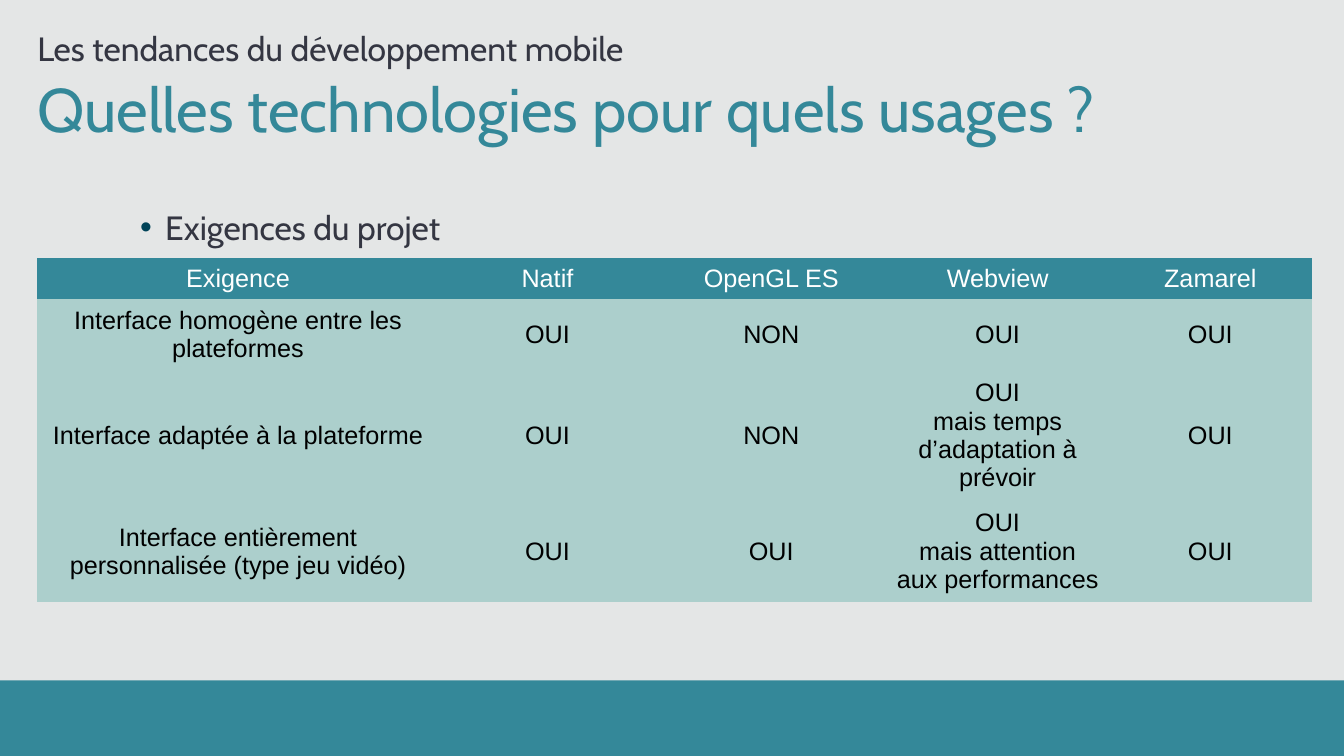
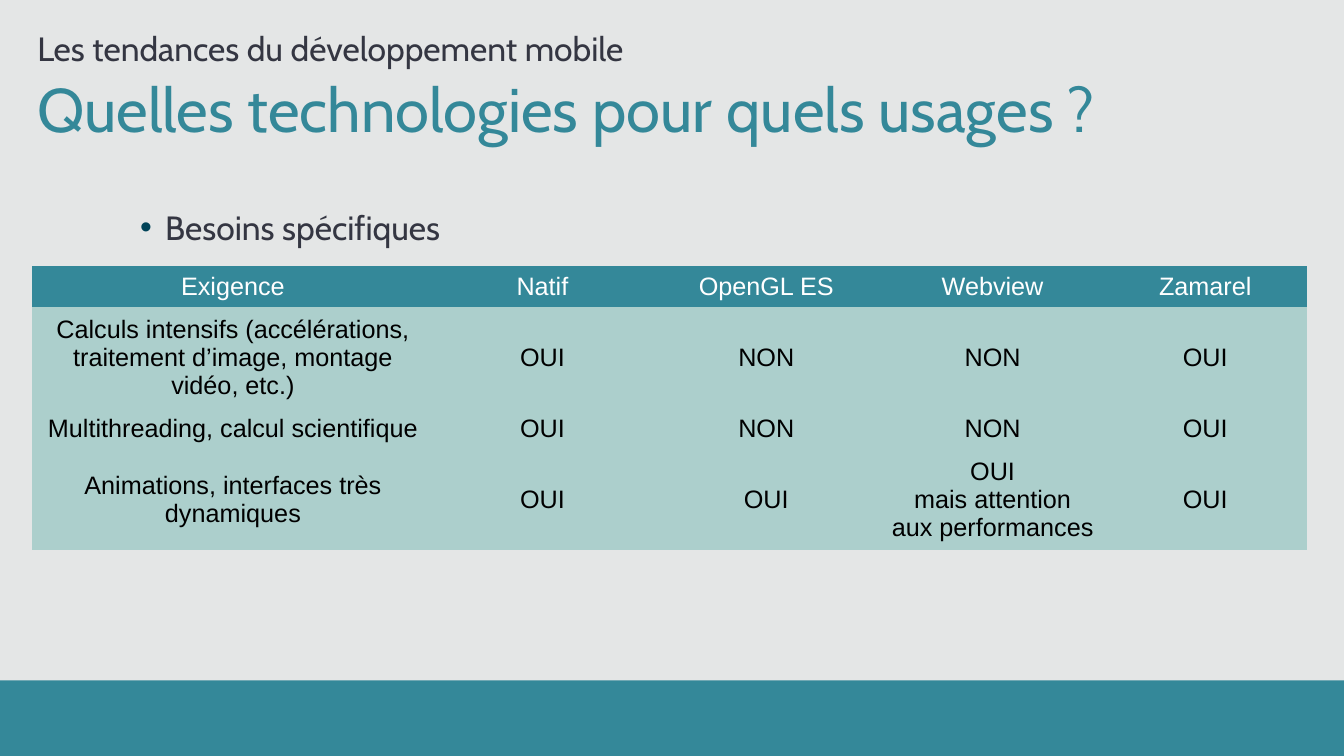
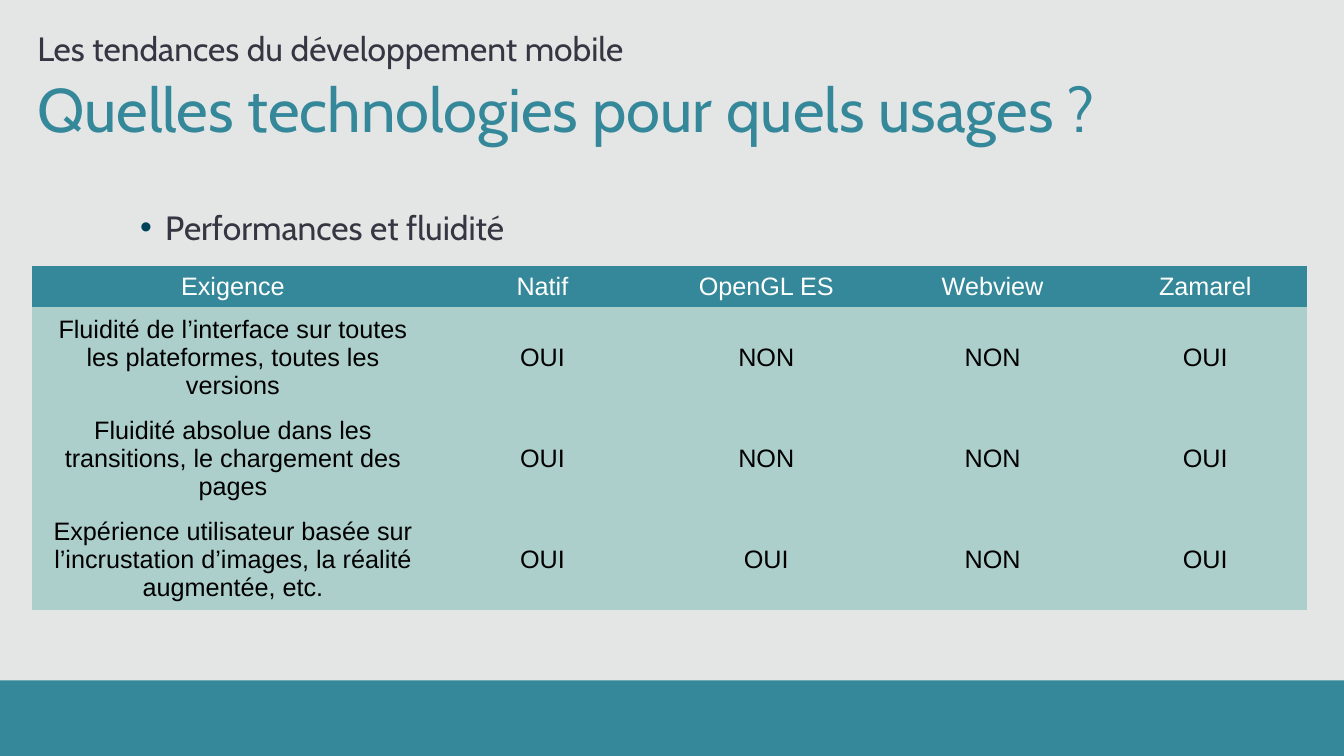
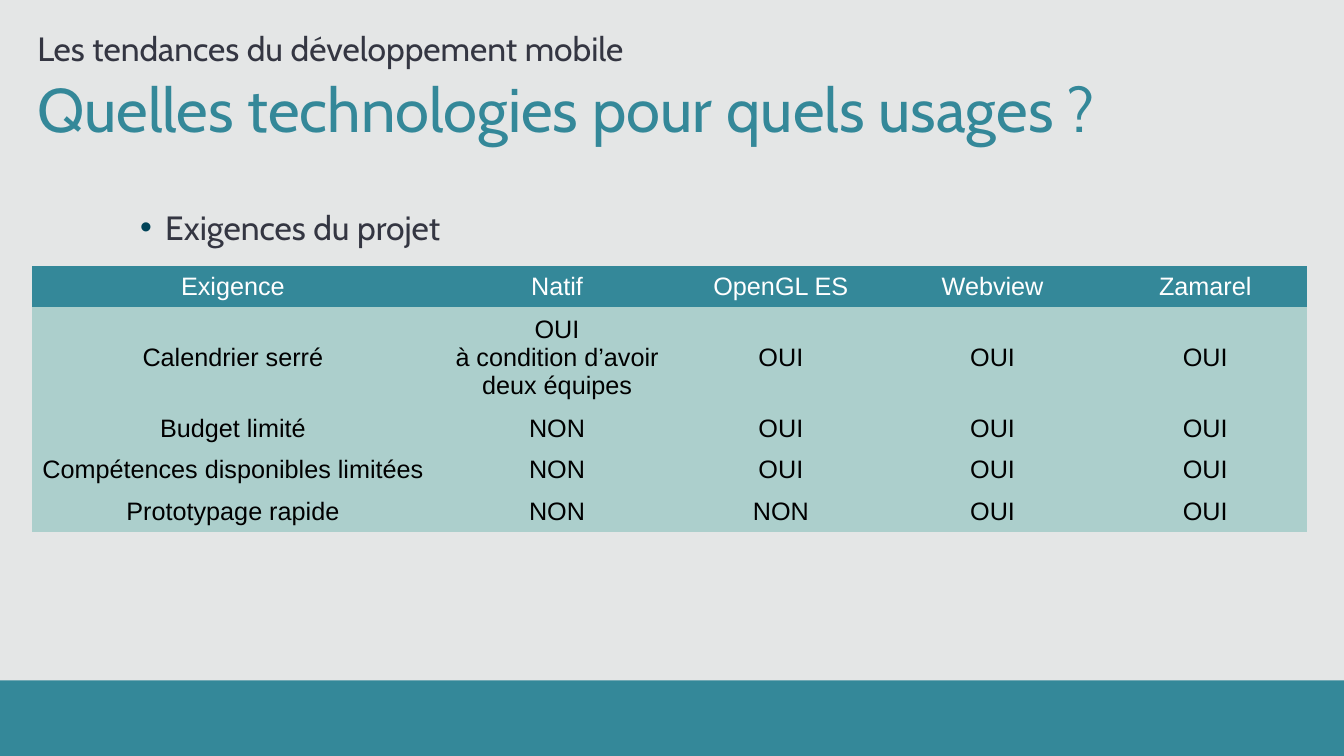
"""Build four slides comparing mobile technologies by need."""
from dataclasses import dataclass

from lxml import etree
from pptx import Presentation
from pptx import util as u
from pptx.dml.color import RGBColor
from pptx.enum import shapes, text
from pptx.oxml.ns import qn


@dataclass(frozen=True)
class Theme:
    """Colours, fonts, type sizes and shared measures in inches."""
    veil: str = "979C9C"
    veil_alpha: int = 25
    teal: str = "348899"
    pale: str = "ACCFCC"
    ink: str = "343642"
    bullet: str = "004358"
    white: str = "FFFFFF"
    black: str = "000000"
    font: str = "Cabin"
    table_font: str = "Arial"
    title_size: int = 44
    body_size: int = 24
    table_size: int = 18
    space_before: int = 10
    width: float = 13.33
    height: float = 7.5
    band_height: float = 0.75
    left: float = 0.37
    text_width: float = 12.64
    row_height: float = 0.41
    table_style: str = "{2D5ABB26-0587-4C30-8999-92F81FD0307C}"


T = Theme()
SECTION = "Les tendances du développement mobile"
TITLE = "Quelles technologies pour quels usages ?"
HEADER = ("Exigence", "Natif", "OpenGL ES", "Webview", "Zamarel")
COLS = (3.98, 2.16, 2.28, 2.21, 2.01)
COLS_WIDE_NATIVE = (3.98, 2.45, 1.99, 2.21, 2.01)
PERFORMANCE_NOTE = "OUI\nmais attention aux performances"
SLIDES = (
    ("Exigences du projet", (0.37, 2.56), COLS, (
        ("Interface homogène entre les plateformes", "OUI", "NON", "OUI", "OUI"),
        ("Interface adaptée à la plateforme", "OUI", "NON",
         "OUI\nmais temps d’adaptation à prévoir", "OUI"),
        ("Interface entièrement personnalisée (type jeu vidéo)", "OUI", "OUI",
         PERFORMANCE_NOTE, "OUI"),
    )),
    ("Besoins spécifiques", (0.32, 2.64), COLS, (
        ("Calculs intensifs (accélérations, traitement d’image, montage vidéo, etc.)",
         "OUI", "NON", "NON", "OUI"),
        ("Multithreading, calcul scientifique", "OUI", "NON", "NON", "OUI"),
        ("Animations, interfaces très dynamiques", "OUI", "OUI",
         PERFORMANCE_NOTE, "OUI"),
    )),
    ("Performances et fluidité", (0.32, 2.64), COLS, (
        ("Fluidité de l’interface sur toutes les plateformes, toutes les versions",
         "OUI", "NON", "NON", "OUI"),
        ("Fluidité absolue dans les transitions, le chargement des pages",
         "OUI", "NON", "NON", "OUI"),
        ("Expérience utilisateur basée sur l’incrustation d’images, "
         "la réalité augmentée, etc.", "OUI", "OUI", "NON", "OUI"),
    )),
    ("Exigences du projet", (0.32, 2.64), COLS_WIDE_NATIVE, (
        ("Calendrier serré", "OUI\nà condition d’avoir deux équipes",
         "OUI", "OUI", "OUI"),
        ("Budget limité", "NON", "OUI", "OUI", "OUI"),
        ("Compétences disponibles limitées", "NON", "OUI", "OUI", "OUI"),
        ("Prototypage rapide", "NON", "NON", "OUI", "OUI"),
    )),
)


def add_run(p, content, size, color, font=T.font):
    """Add one formatted run to a paragraph."""
    r = p.add_run()
    r.text = content
    r.font.size = u.Pt(size)
    r.font.name = font
    r.font.color.rgb = RGBColor.from_string(color)


def add_band(s, top, height, color, alpha=None):
    """Add a full-width rectangle, optionally translucent."""
    sp = s.shapes.add_shape(shapes.MSO_SHAPE.RECTANGLE, 0, u.Inches(top),
                            u.Inches(T.width), u.Inches(height))
    sp.shadow.inherit = False
    sp.line.fill.background()
    sp.fill.solid()
    sp.fill.fore_color.rgb = RGBColor.from_string(color)
    if alpha is not None:
        clr = sp.fill._xPr.find(f".//{qn('a:srgbClr')}")
        etree.SubElement(clr, qn("a:alpha"), val=str(alpha * 1000))


def add_text(s, box, content, size, color, anchor=text.MSO_ANCHOR.TOP, inset=True):
    """Add a wrapped one-paragraph text box and return its paragraph."""
    tf = s.shapes.add_textbox(*map(u.Inches, box)).text_frame
    tf.word_wrap = True
    tf.vertical_anchor = anchor
    if not inset:
        tf.margin_left = tf.margin_top = tf.margin_right = tf.margin_bottom = 0
    p = tf.paragraphs[0]
    add_run(p, content, size, color)
    return p


def add_bullet(s, content):
    """Add the bulleted topic above the table."""
    p = add_text(s, (1.29, 2, 11.72, 4.08), content, T.body_size, T.ink)
    p.space_before = u.Pt(T.space_before)
    pPr = p._p.get_or_add_pPr()
    pPr.set("marL", str(u.Inches(0.25)))
    pPr.set("indent", str(-u.Inches(0.25)))
    color = etree.SubElement(pPr, qn("a:buClr"))
    etree.SubElement(color, qn("a:srgbClr"), val=T.bullet)
    etree.SubElement(pPr, qn("a:buFont"), typeface=T.table_font)
    etree.SubElement(pPr, qn("a:buChar"), char="•")


def fill_cell(cell, content, fill, color):
    """Fill a cell and centre its lines, one paragraph each."""
    cell.fill.solid()
    cell.fill.fore_color.rgb = RGBColor.from_string(fill)
    cell.vertical_anchor = text.MSO_ANCHOR.MIDDLE
    tf = cell.text_frame
    for i, line in enumerate(content.split("\n")):
        p = tf.add_paragraph() if i else tf.paragraphs[0]
        p.alignment = text.PP_ALIGN.CENTER
        add_run(p, line, T.table_size, color, T.table_font)


def add_comparison(s, origin, widths, rows):
    """Add the table of needs against technologies."""
    rows = (HEADER, *rows)
    box = (*origin, sum(widths), T.row_height * len(rows))
    table = s.shapes.add_table(len(rows), len(widths), *map(u.Inches, box)).table
    table._tbl.tblPr.find(qn("a:tableStyleId")).text = T.table_style
    for col, width in zip(table.columns, widths):
        col.width = u.Inches(width)
    for i, row in enumerate(rows):
        fill, color = (T.pale, T.black) if i else (T.teal, T.white)
        for j, content in enumerate(row):
            fill_cell(table.cell(i, j), content, fill, color)


def add_frame(s):
    """Add the background, footer band, title and section name."""
    add_band(s, 0, T.height, T.veil, T.veil_alpha)
    add_band(s, T.height - T.band_height, T.band_height, T.teal)
    add_text(s, (T.left, 0.7, T.text_width, 1.32), TITLE,
             T.title_size, T.teal, inset=False)
    p = add_text(s, (T.left, 0.21, T.text_width, 0.47), SECTION, T.body_size, T.ink,
                 text.MSO_ANCHOR.BOTTOM, inset=False)
    p.space_before = u.Pt(T.space_before)


def main():
    """Build and save the presentation."""
    prs = Presentation()
    prs.slide_width = u.Inches(T.width)
    prs.slide_height = u.Inches(T.height)
    for topic, origin, widths, rows in SLIDES:
        s = prs.slides.add_slide(prs.slide_layouts[6])
        add_frame(s)
        add_bullet(s, topic)
        add_comparison(s, origin, widths, rows)
    prs.save("out.pptx")


if __name__ == "__main__":
    main()
